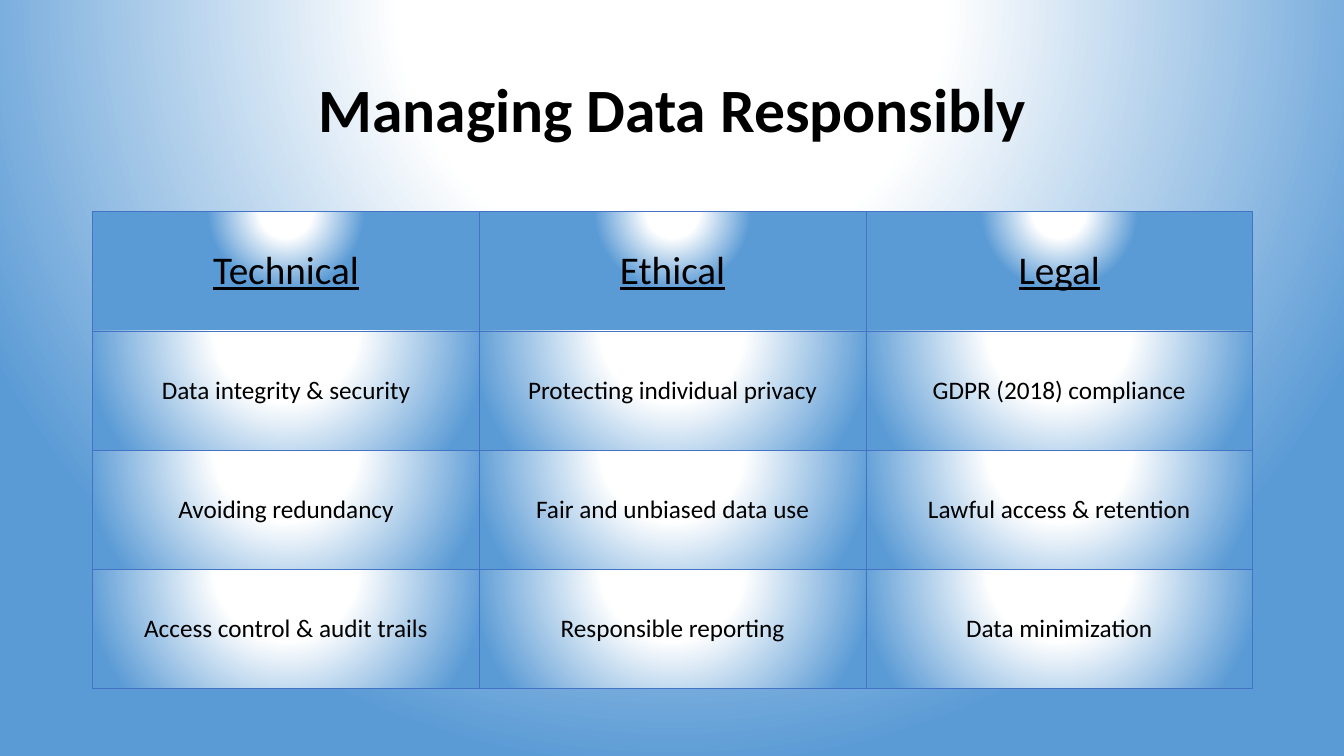
import pptx
import pptx.dml.color
import pptx.enum.text
import pptx.oxml
import pptx.oxml.ns
import pptx.util

COLORS = {"text": "000000", "center": "FFFFFF", "edge": "5B9BD5", "border": "4472C4"}
FONT = "Calibri"
SLIDE_WIDTH = pptx.util.Inches(13.33)
SLIDE_HEIGHT = pptx.util.Inches(7.5)
BORDER_WIDTH = pptx.util.Pt(0.5)

# Gradient stops in percent
PAGE_STOPS = [(0, "center"), (35, "center"), (100, "edge")]
HEADER_STOPS = [(0, "center"), (13, "center"), (39, "edge")]

# Boxes as shares of the slide: left, top, width, height
TITLE_BOX = (0.069, 0.053, 0.863, 0.193)
TABLE_BOX = (0.069, 0.28, 0.863, 0.631)

ROWS = [
    ["Technical", "Ethical", "Legal"],
    ["Data integrity & security", "Protecting individual privacy", "GDPR (2018) compliance"],
    ["Avoiding redundancy", "Fair and unbiased data use", "Lawful access & retention"],
    ["Access control & audit trails", "Responsible reporting", "Data minimization"],
]


def place(box):
    left, top, width, height = box
    return (int(left * SLIDE_WIDTH), int(top * SLIDE_HEIGHT),
            int(width * SLIDE_WIDTH), int(height * SLIDE_HEIGHT))


def use_radial_gradient(fill_parent, stops):
    """Swap the solid fill in fill_parent for a gradient centred above the top edge."""
    stop_xml = "".join(
        f'<a:gs pos="{position * 1000}"><a:srgbClr val="{COLORS[name]}"/></a:gs>'
        for position, name in stops)
    gradient = pptx.oxml.parse_xml(
        f'<a:gradFill {pptx.oxml.ns.nsdecls("a")} rotWithShape="1">'
        f'<a:gsLst>{stop_xml}</a:gsLst><a:path path="circle">'
        '<a:fillToRect l="50000" t="-80000" r="50000" b="180000"/></a:path></a:gradFill>')
    solid = fill_parent.find(pptx.oxml.ns.qn("a:solidFill"))
    fill_parent.replace(solid, gradient)


def add_borders(cell_properties):
    for index, side in enumerate(("lnL", "lnR", "lnT", "lnB")):
        line = pptx.oxml.parse_xml(
            f'<a:{side} {pptx.oxml.ns.nsdecls("a")} w="{BORDER_WIDTH}">'
            f'<a:solidFill><a:srgbClr val="{COLORS["border"]}"/></a:solidFill></a:{side}>')
        cell_properties.insert(index, line)


def format_text(text_frame, size, bold=False, underline=False):
    paragraph = text_frame.paragraphs[0]
    paragraph.alignment = pptx.enum.text.PP_ALIGN.CENTER
    font = paragraph.runs[0].font
    font.name = FONT
    font.size = pptx.util.Pt(size)
    font.bold = bold
    font.underline = underline
    font.color.rgb = pptx.dml.color.RGBColor.from_string(COLORS["text"])


def fill_background(slide):
    slide.background.fill.solid()
    use_radial_gradient(next(slide.element.iter(pptx.oxml.ns.qn("p:bgPr"))), PAGE_STOPS)


def add_title(slide, box):
    title = slide.shapes.title
    title.left, title.top, title.width, title.height = place(box)
    title.text_frame.text = "Managing Data Responsibly"
    title.text_frame.vertical_anchor = pptx.enum.text.MSO_ANCHOR.MIDDLE
    title.text_frame.paragraphs[0].line_spacing = 0.9
    format_text(title.text_frame, 44, bold=True)


def add_duties_table(slide, box):
    table = slide.shapes.add_table(len(ROWS), len(ROWS[0]), *place(box)).table
    table.first_row = False
    table.horz_banding = False
    for row_index, row in enumerate(ROWS):
        is_header = row_index == 0
        for column_index, text in enumerate(row):
            cell = table.cell(row_index, column_index)
            cell.text_frame.text = text
            cell.vertical_anchor = pptx.enum.text.MSO_ANCHOR.MIDDLE
            format_text(cell.text_frame, 28 if is_header else 18, underline=is_header)
            cell.fill.solid()
            cell_properties = next(
                table.rows[row_index].cells[column_index]._tc.iter(pptx.oxml.ns.qn("a:tcPr")))
            use_radial_gradient(cell_properties, HEADER_STOPS if is_header else PAGE_STOPS)
            add_borders(cell_properties)


def main():
    presentation = pptx.Presentation()
    presentation.slide_width = SLIDE_WIDTH
    presentation.slide_height = SLIDE_HEIGHT
    title_only_layout = presentation.slide_layouts[5]
    slide = presentation.slides.add_slide(title_only_layout)
    fill_background(slide)
    add_title(slide, TITLE_BOX)
    add_duties_table(slide, TABLE_BOX)
    presentation.save("out.pptx")


if __name__ == "__main__":
    main()
